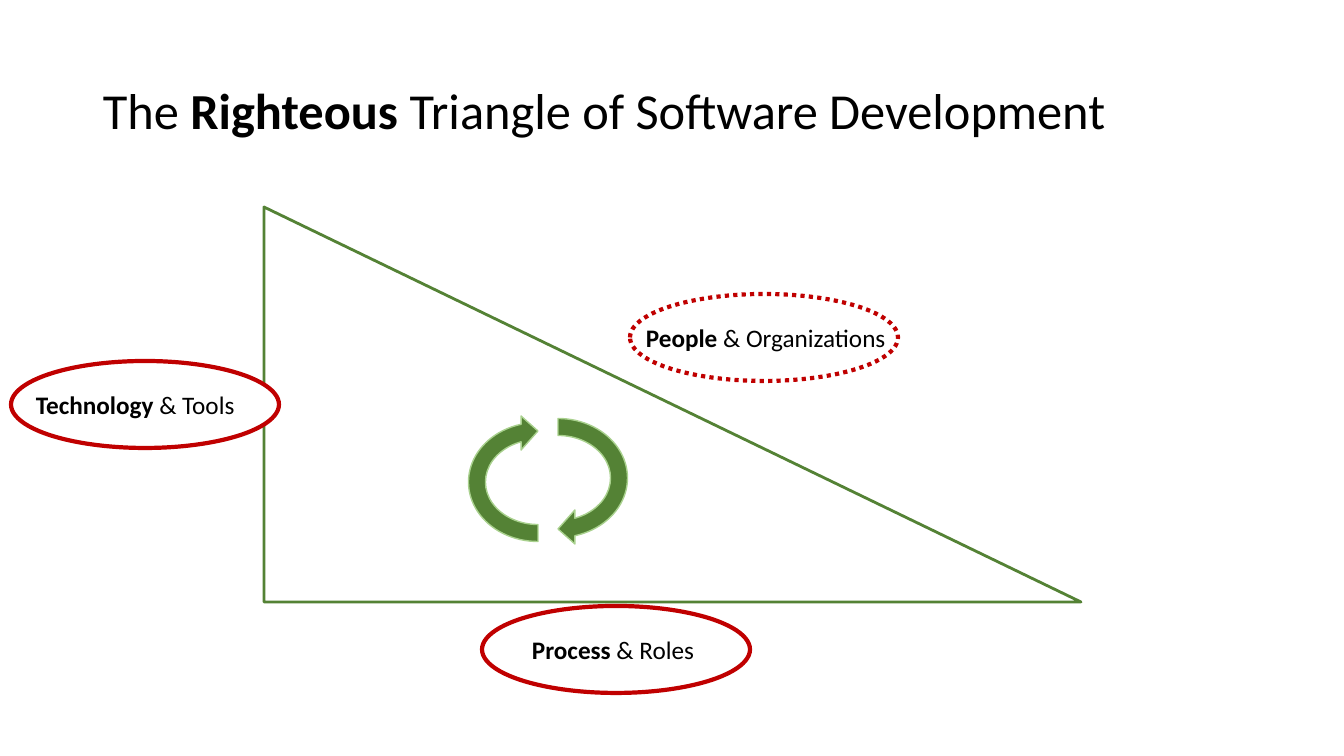
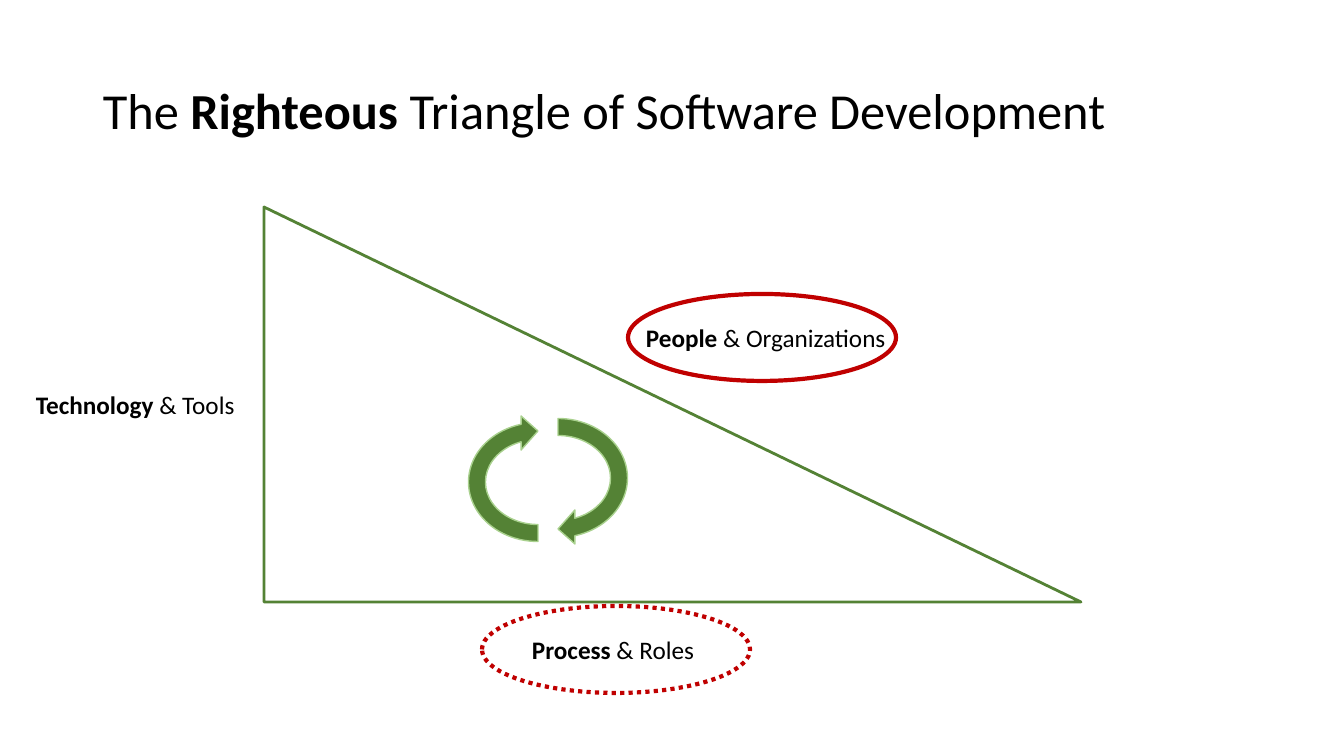
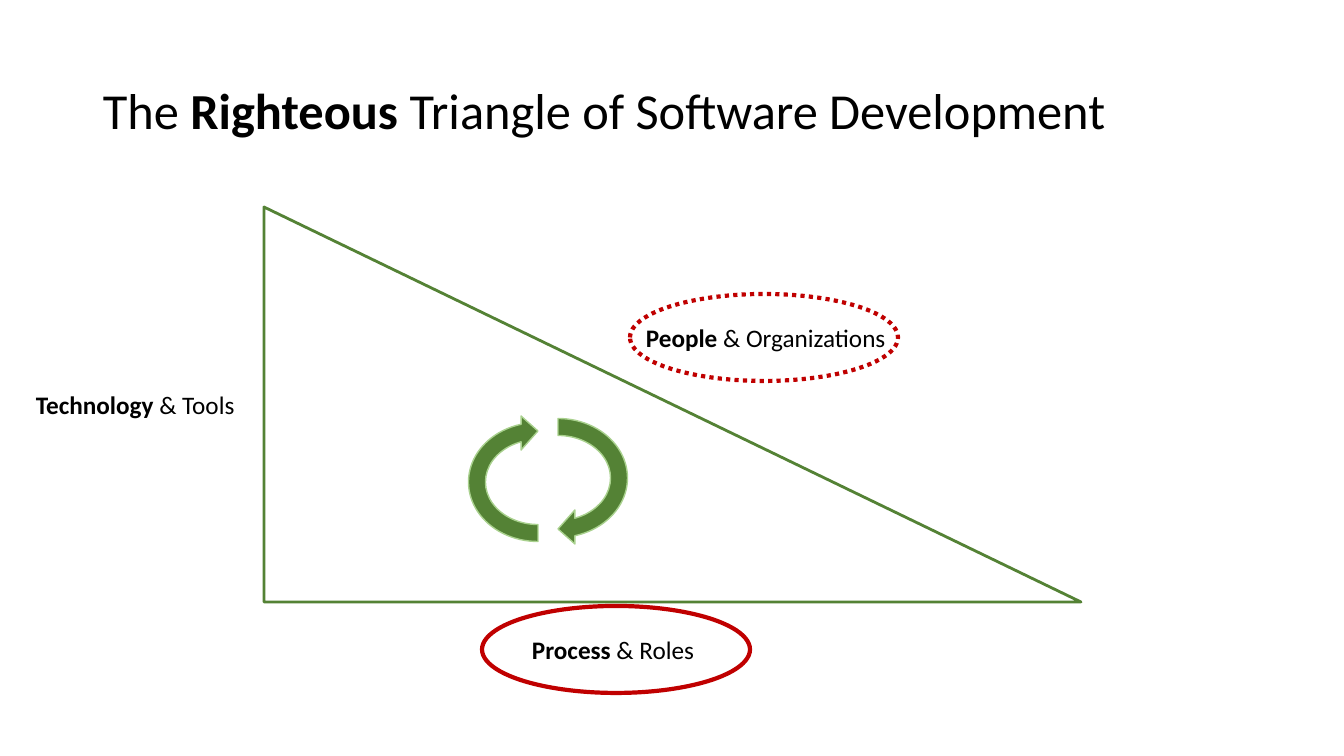
from pptx import Presentation
from pptx import util as u
from pptx.dml import color
from pptx.enum import dml, shapes, text

FONT = "Calibri"
BLACK, WHITE, GREEN, PALE, RED = "000000", "FFFFFF", "548235", "A9D18E", "C00000"
SHAPE = shapes.MSO_SHAPE
SOLID, DOTS = dml.MSO_LINE.SOLID, dml.MSO_LINE.ROUND_DOT
TITLE = (93, 40, 1159, 146)
FIGURE = (264, 207, 817, 395)
RING = (268, 87)
LABEL = (300, 40)
ARROW = (136, 156)
SIDES = {
    "People": (" & Organizations", 372, 110),
    "Process": (" & Roles", 258, 422),
    "Technology": (" & Tools", -238, 177),
}
SLIDES = [
    [(-253, 154, SOLID, WHITE), (366, 87, DOTS, None), (218, 399, SOLID, None)],
    [(218, 399, DOTS, None), (364, 87, SOLID, None)],
    [(366, 87, DOTS, None), (218, 399, SOLID, None)],
]


def px(n):
    return u.Emu(round(n * 914400 / 100.8))


def rgb(code):
    return color.RGBColor.from_string(code)


def draw(slide, kind, box, fill, line, width):
    shape = slide.shapes.add_shape(kind, *map(px, box))
    shape.shadow.inherit = False
    if fill:
        shape.fill.solid()
        shape.fill.fore_color.rgb = rgb(fill)
    else:
        shape.fill.background()
    shape.line.color.rgb = rgb(line)
    shape.line.width = u.Pt(width)
    return shape


def write(slide, box, runs, size):
    frame = slide.shapes.add_textbox(*map(px, box)).text_frame
    frame.word_wrap = True
    para = frame.paragraphs[0]
    para.font.name = FONT
    para.font.size = u.Pt(size)
    para.font.color.rgb = rgb(BLACK)
    for words, bold in runs:
        run = para.add_run()
        run.text = words
        run.font.bold = bold
    return frame


def title(slide, box):
    runs = [("The ", False), ("Righteous", True),
            (" Triangle of Software Development", False)]
    frame = write(slide, box, runs, 36)
    frame.vertical_anchor = text.MSO_ANCHOR.MIDDLE
    frame.paragraphs[0].line_spacing = 0.9


def cycle(slide, left, top):
    for x, y, turn in ((20, 0, 90), (0, 4, 270)):
        box = (left + x, top + y, *ARROW)
        draw(slide, SHAPE.CIRCULAR_ARROW, box, GREEN, PALE, 1).rotation = turn


def figure(slide, box, rings):
    left, top = box[:2]
    draw(slide, SHAPE.RIGHT_TRIANGLE, box, None, GREEN, 2)
    for x, y, dash, fill in rings:
        ring = draw(slide, SHAPE.OVAL, (left + x, top + y, *RING), fill, RED, 3)
        ring.line.dash_style = dash
    for name, (rest, x, y) in SIDES.items():
        runs = [(name, True), (rest, False)]
        frame = write(slide, (left + x, top + y, *LABEL), runs, 18)
        frame.auto_size = text.MSO_AUTO_SIZE.SHAPE_TO_FIT_TEXT
    cycle(slide, left + 206, top + 193)


def main():
    deck = Presentation()
    deck.slide_width, deck.slide_height = px(1344), px(756)
    for rings in SLIDES:
        slide = deck.slides.add_slide(deck.slide_layouts[6])
        title(slide, TITLE)
        figure(slide, FIGURE, rings)
    deck.save("out.pptx")


if __name__ == "__main__":
    main()
